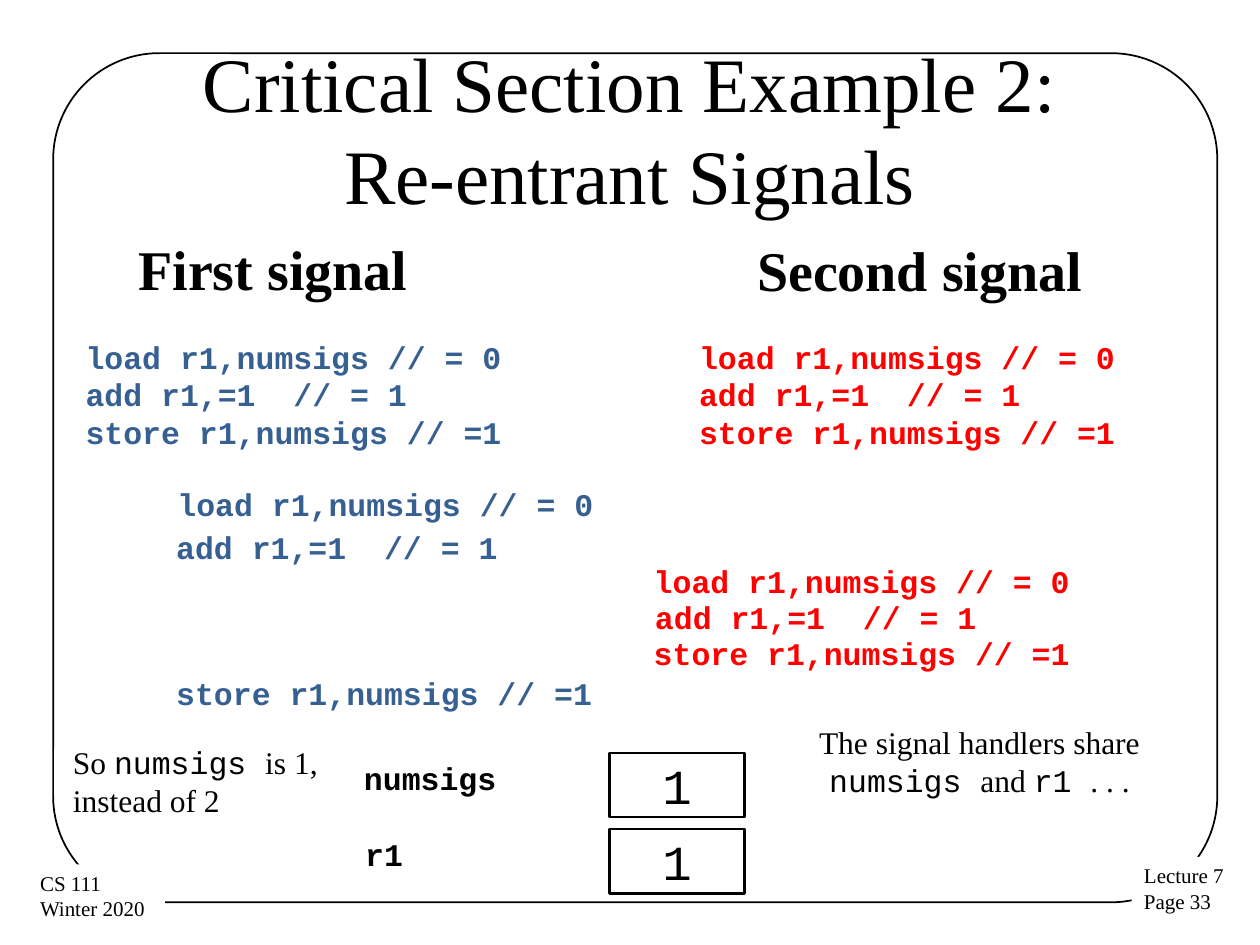
from pptx import Presentation
from pptx.dml.color import RGBColor
from pptx.enum.shapes import MSO_SHAPE
from pptx.enum.text import MSO_ANCHOR, PP_ALIGN
from pptx.util import Pt

RECTANGLE, ROUNDED = MSO_SHAPE.RECTANGLE, MSO_SHAPE.ROUNDED_RECTANGLE
LEFT, CENTER = PP_ALIGN.LEFT, PP_ALIGN.CENTER
TOP, MIDDLE = MSO_ANCHOR.TOP, MSO_ANCHOR.MIDDLE
SERIF, MONO = "Times New Roman", "Courier New"
BLACK, WHITE, BLUE, RED = "000000", "FFFFFF", "376092", "FF0000"


def rgb(value):
    return RGBColor.from_string(value)


def add_text(text, left, top, width, height, size=18, font=SERIF, color=BLACK,
             bold=False, align=LEFT, anchor=TOP, wrap=False, fill=None, border=None):
    """Lines become paragraphs; backticks in the text switch to the code font."""
    if fill:
        box = slide.shapes.add_shape(RECTANGLE, Pt(left), Pt(top), Pt(width), Pt(height))
        box.shadow.inherit = False
        box.fill.solid()
        box.fill.fore_color.rgb = rgb(fill)
        if border:
            box.line.color.rgb = rgb(BLACK)
            box.line.width = Pt(border)
        else:
            box.line.fill.background()
    else:
        box = slide.shapes.add_textbox(Pt(left), Pt(top), Pt(width), Pt(height))
    frame = box.text_frame
    frame.word_wrap = wrap
    frame.vertical_anchor = anchor
    for i, line in enumerate(text.split("\n")):
        paragraph = frame.paragraphs[0] if i == 0 else frame.add_paragraph()
        paragraph.alignment = align
        for j, part in enumerate(line.split("`")):
            if part:
                run = paragraph.add_run()
                run.text = part
                run.font.name = MONO if j % 2 else font
                run.font.size = Pt(size)
                run.font.bold = bold
                run.font.color.rgb = rgb(color)


prs = Presentation()
prs.slide_width, prs.slide_height = Pt(720), Pt(540)
slide = prs.slides.add_slide(prs.slide_layouts[6])

# Frame, with the footers interrupting its lower corners
frame_outline = slide.shapes.add_shape(ROUNDED, Pt(30.4), Pt(30.4), Pt(665.2), Pt(485.2))
frame_outline.adjustments[0] = 0.125
frame_outline.shadow.inherit = False
frame_outline.fill.background()
frame_outline.line.color.rgb = rgb(BLACK)
frame_outline.line.width = Pt(1)
add_text("Lecture 7\nPage 33", 646.6, 489.6, 61.2, 36.7, size=12, fill=WHITE)
add_text("CS 111\nWinter 2020", 15.8, 493.9, 78.5, 36.7, size=12, fill=WHITE)

# Title and column headings
add_text("Critical Section Example 2:\nRe-entrant Signals", 36, 28, 648, 90,
         size=44, align=CENTER, anchor=MIDDLE, wrap=True)
add_text("First signal", 72, 130.3, 170, 46, size=32, bold=True)
add_text("Second signal", 425.5, 131, 202.3, 46, size=32, bold=True)

# Instructions: each handler alone, then the two interleaved
LOAD, ADD, STORE = instructions = (
    "load r1,numsigs // = 0", "add r1,=1  // = 1", "store r1,numsigs // =1")
for left, color in ((41.8, BLUE), (392.4, RED)):
    add_text("\n".join(instructions), left, 189.4, 254.2, 72.7,
             font=MONO, color=color, bold=True)
for instruction, left, top, color in (
    (LOAD, 94.3, 273.6, BLUE),
    (ADD, 93.6, 298.1, BLUE),
    (LOAD, 366.5, 317.5, RED),
    (ADD, 367.2, 338.4, RED),
    (STORE, 366.5, 358.6, RED),
    (STORE, 93.6, 381.6, BLUE),
):
    add_text(instruction, left, top, 254.2, 28.8, font=MONO, color=color, bold=True)

# Final values of the shared variable and the register
for label, left, top in (("numsigs", 200.9, 430.2), ("r1", 201.6, 473.8)):
    add_text(label, left, top, 116.6, 36.7, font=MONO, bold=True)
    add_text("1", 348.5, top, 77, 36.7, size=28, font=MONO, align=CENTER,
             anchor=MIDDLE, wrap=True, fill=WHITE, border=1.5)

# Conclusions
add_text("The signal handlers share `numsigs `and `r1 `. . .", 447.8, 409.7, 223.9, 94.3,
         align=CENTER, wrap=True)
add_text("So `numsigs `is 1, instead of 2", 34.6, 421.2, 175, 65.5, wrap=True)

prs.save("out.pptx")
